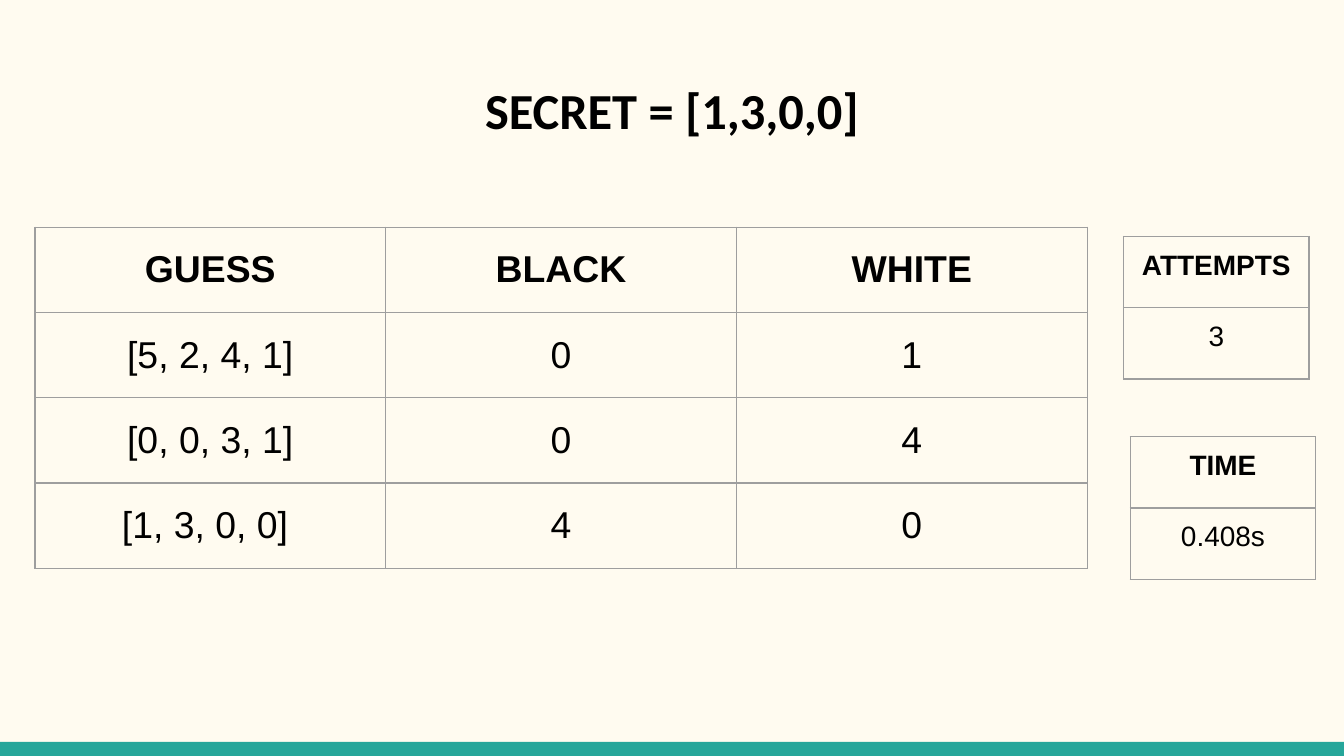
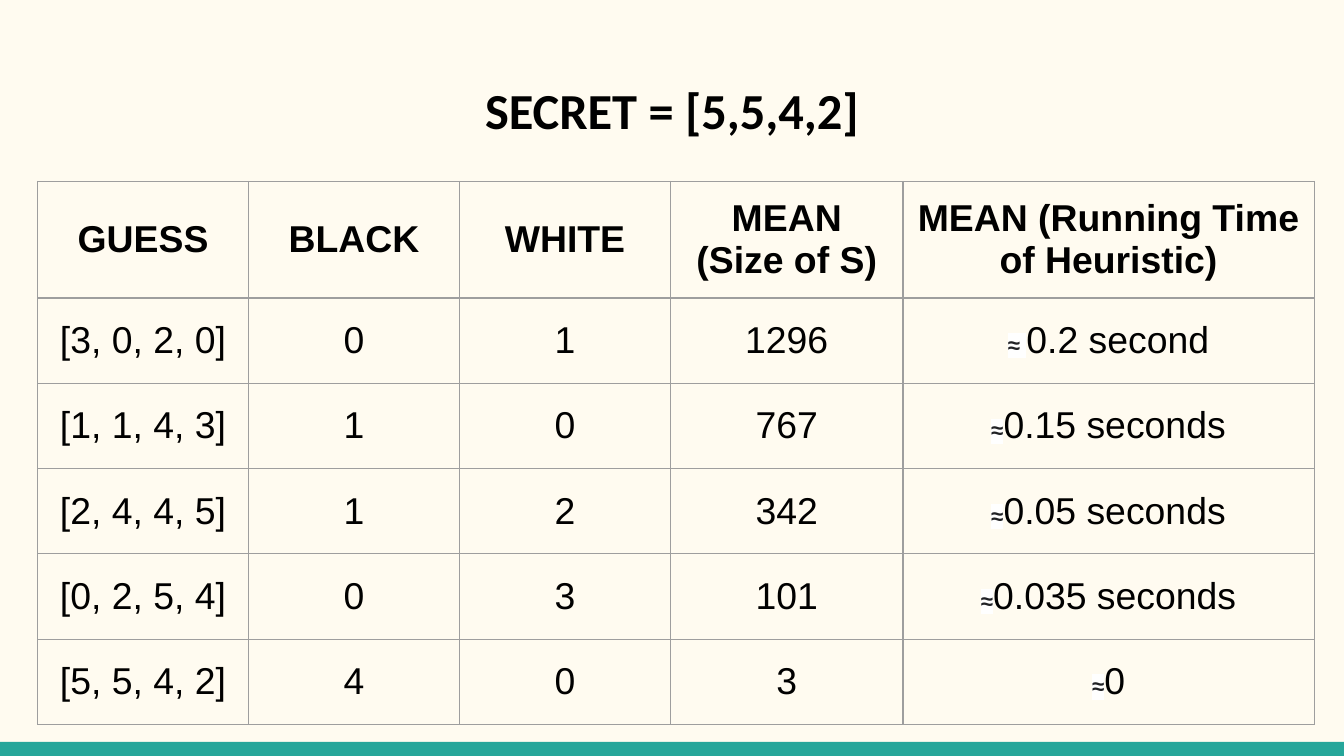
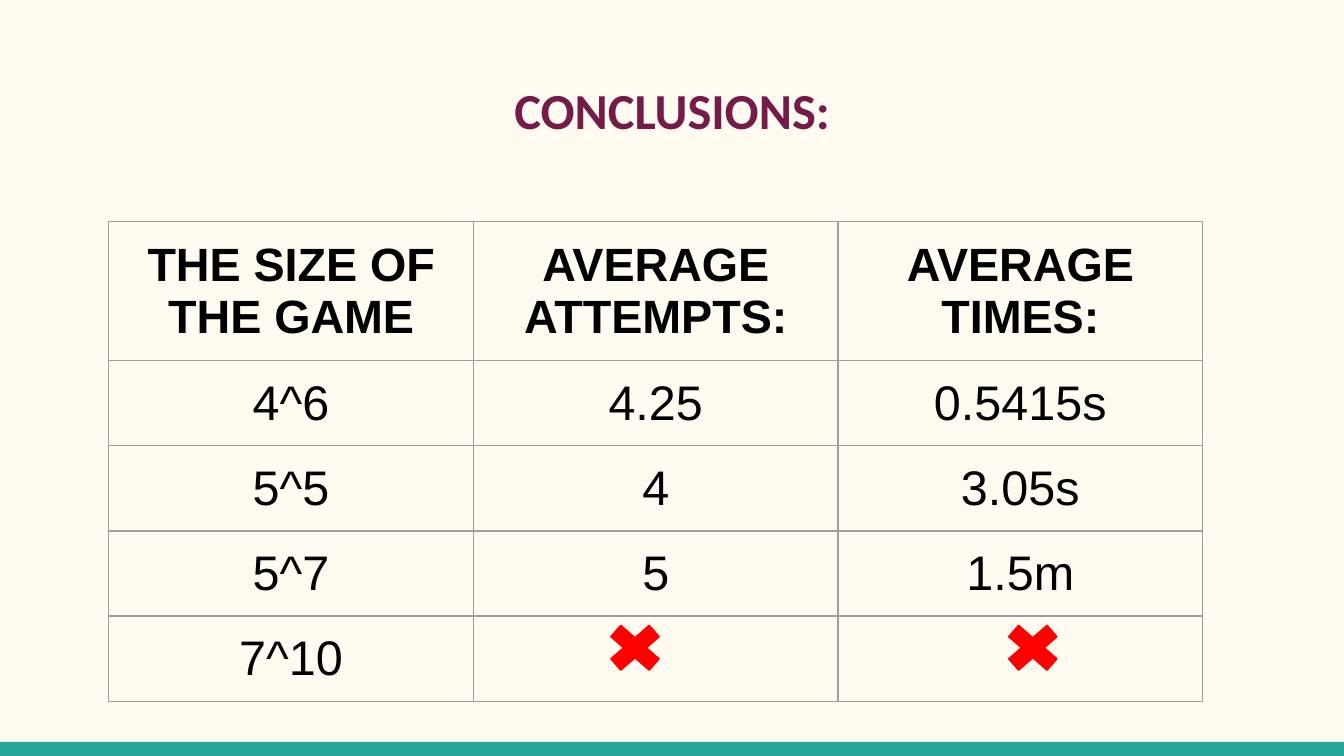
"""Build three slides of game results: two secrets and the conclusions."""
from dataclasses import dataclass

from lxml import etree
from pptx import Presentation
from pptx.dml.color import RGBColor
from pptx.enum.shapes import MSO_SHAPE
from pptx.enum.text import MSO_ANCHOR, PP_ALIGN
from pptx.oxml.ns import qn
from pptx.util import Inches, Pt

RECT, CROSS = MSO_SHAPE.RECTANGLE, MSO_SHAPE.MATH_MULTIPLY
MIDDLE, TOP = MSO_ANCHOR.MIDDLE, MSO_ANCHOR.TOP
CENTER = PP_ALIGN.CENTER
BLANK = 6
SIZE = (10, 10 * 9 / 16)
BAND = (0, 5.52, 10, 0.11)
TITLE = (0.34, 0.49, 9.32, 0.67)
INSET = 0.1
DEEP = 2.54 / 4


@dataclass(frozen=True)
class Theme:
    """Colours, fonts and type sizes."""
    paper: str = "FFFBF0"
    band: str = "26A69A"
    ink: str = "000000"
    plum: str = "741B47"
    grid: str = "9E9E9E"
    cross: str = "FF0000"
    sign: str = "202124"
    glow: str = "FFFFFF"
    head: str = "Calibri"
    body: str = "Arial"
    title: int = 27
    large: int = 26
    wide: int = 25
    base: int = 20
    small: int = 15
    tiny: int = 12
    rule: float = 0.75


LOOK = Theme()
GRID = {"sizes": (LOOK.base, LOOK.base), "anchor": MIDDLE, "deep": (DEEP, DEEP)}
CARD = {"sizes": (LOOK.small, LOOK.small), "anchor": TOP, "deep": (0.53, 0.53),
        "cols": [1.38]}

SLIDES = [
    {
        "title": "SECRET = [1,3,0,0]",
        "color": LOOK.ink,
        "tables": [
            {**GRID, "box": (0.26, 1.69, 7.83, 2.54), "cols": [2.61] * 3,
             "rows": [
                 ("GUESS", "BLACK", "WHITE"),
                 ("[5, 2, 4, 1]", "0", "1"),
                 ("[0, 0, 3, 1]", "0", "4"),
                 ("[1, 3, 0, 0] ", "4", "0"),
             ]},
            {**CARD, "box": (8.36, 1.76, 1.38, 1.05), "rows": [("ATTEMPTS",), ("3",)]},
            {**CARD, "box": (8.41, 3.25, 1.38, 1.05), "rows": [("TIME",), ("0.408s",)]},
        ],
        "marks": [],
    },
    {
        "title": "SECRET = [5,5,4,2]",
        "color": LOOK.ink,
        "tables": [
            {**GRID, "box": (0.28, 1.35, 9.5, 4.04),
             "cols": [1.57, 1.57, 1.57, 1.73, 3.06],
             "rows": [
                 ("GUESS", "BLACK", "WHITE", "MEAN (Size of S)",
                  "MEAN (Running Time of Heuristic)"),
                 ("[3, 0, 2, 0]", "0", "1", "1296", "≈ 0.2 second"),
                 ("[1, 1, 4, 3]", "1", "0", "767", "≈0.15 seconds"),
                 ("[2, 4, 4, 5]", "1", "2", "342", "≈0.05 seconds"),
                 ("[0, 2, 5, 4]", "0", "3", "101", "≈0.035 seconds"),
                 ("[5, 5, 4, 2]", "4", "0", "3", "≈0"),
             ]},
        ],
        "marks": [],
    },
    {
        "title": "CONCLUSIONS:",
        "color": LOOK.plum,
        "tables": [
            {"box": (0.81, 1.65, 8.14, 3.57), "cols": [8.14 / 3] * 3,
             "deep": (0.92, 0.58), "sizes": (LOOK.wide, LOOK.large), "anchor": MIDDLE,
             "rows": [
                 ("THE SIZE OF THE GAME", "AVERAGE ATTEMPTS:", "AVERAGE TIMES:"),
                 ("4^6", "4.25", "0.5415s"),
                 ("5^5", "4", "3.05s"),
                 ("5^7", "5", "1.5m"),
                 ("7^10", "", ""),
             ]},
        ],
        "marks": [(4.45, 4.58, 0.55, 0.48), (7.41, 4.58, 0.55, 0.48)],
    },
]


def place(box):
    return [Inches(n) for n in box]


def style(run, face, size, color, bold):
    font = run.font
    font.name, font.size, font.bold = face, Pt(size), bold
    font.color.rgb = RGBColor.from_string(color)


def tint(node, color):
    fill = etree.SubElement(node, qn("a:solidFill"))
    etree.SubElement(fill, qn("a:srgbClr"), val=color)


def glow(run):
    node = etree.Element(qn("a:highlight"))
    etree.SubElement(node, qn("a:srgbClr"), val=LOOK.glow)
    run._r.get_or_add_rPr().find(qn("a:solidFill")).addnext(node)


def rule(cell):
    props = cell._tc.get_or_add_tcPr()
    for side in ("lnL", "lnR", "lnT", "lnB"):
        line = etree.SubElement(props, qn("a:" + side), w=str(Pt(LOOK.rule)))
        tint(line, LOOK.grid)
    cell.fill.background()


def write(cell, text, size, bold):
    rest = text.lstrip("≈ ")
    sign = text[:len(text) - len(rest)]
    para = cell.text_frame.paragraphs[0]
    para.text = sign or rest
    para.alignment = CENTER
    if sign:
        style(para.runs[0], LOOK.body, LOOK.tiny, LOOK.sign, True)
        glow(para.runs[0])
        para.add_run().text = rest
    for run in para.runs[-1:]:
        style(run, LOOK.body, size, LOOK.ink, bold)


def add_grid(slide, data):
    rows, cols = data["rows"], data["cols"]
    table = slide.shapes.add_table(len(rows), len(cols), *place(data["box"])).table
    table.first_row = table.horz_banding = False
    for col, width in zip(table.columns, cols):
        col.width = Inches(width)
    for r, row in enumerate(rows):
        table.rows[r].height = Inches(data["deep"][r > 0])
        for c, text in enumerate(row):
            cell = table.cell(r, c)
            cell.vertical_anchor = data["anchor"]
            cell.margin_left = cell.margin_right = Inches(INSET)
            cell.margin_top = cell.margin_bottom = Inches(INSET)
            rule(cell)
            if text:
                write(cell, text, data["sizes"][r > 0], r == 0)


def add_block(slide, kind, box, color):
    shape = slide.shapes.add_shape(kind, *place(box))
    shape.shadow.inherit = False
    shape.fill.solid()
    shape.fill.fore_color.rgb = RGBColor.from_string(color)
    shape.line.fill.background()
    return shape


def add_cross(slide, box):
    shape = add_block(slide, CROSS, box, LOOK.cross)
    shape.adjustments[0] = 0.235
    shape.line.color.rgb = RGBColor.from_string(LOOK.cross)
    shape.line.width = Pt(LOOK.rule)


def add_title(slide, text, color):
    frame = slide.shapes.add_textbox(*place(TITLE)).text_frame
    frame.word_wrap = True
    frame.margin_left = frame.margin_right = Inches(INSET)
    frame.margin_top = frame.margin_bottom = Inches(INSET)
    frame.text = text
    para = frame.paragraphs[0]
    para.alignment = CENTER
    style(para.runs[0], LOOK.head, LOOK.title, color, True)


def main():
    deck = Presentation()
    deck.slide_width, deck.slide_height = place(SIZE)
    back = deck.slide_master.background.fill
    back.solid()
    back.fore_color.rgb = RGBColor.from_string(LOOK.paper)
    for data in SLIDES:
        slide = deck.slides.add_slide(deck.slide_layouts[BLANK])
        add_block(slide, RECT, BAND, LOOK.band)
        add_title(slide, data["title"], data["color"])
        for grid in data["tables"]:
            add_grid(slide, grid)
        for box in data["marks"]:
            add_cross(slide, box)
    deck.save("out.pptx")


if __name__ == "__main__":
    main()
